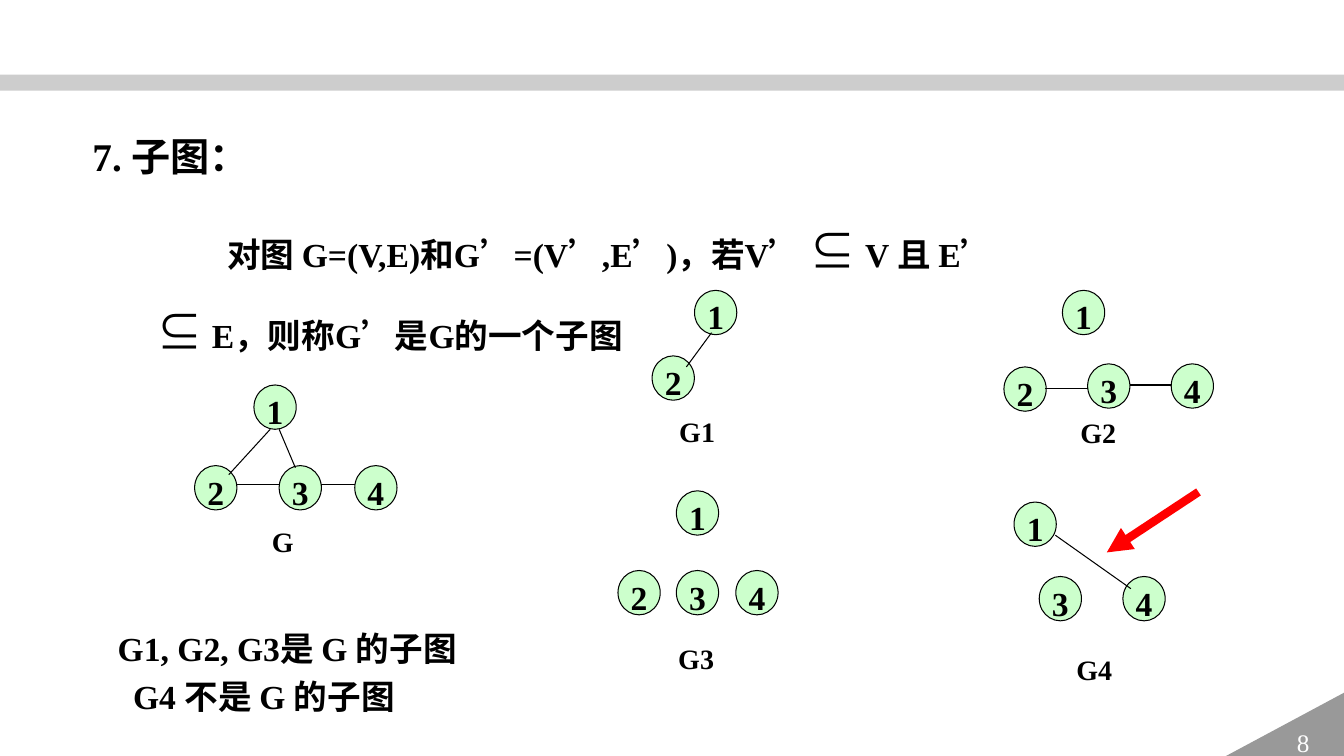
from dataclasses import dataclass

from lxml import etree
from pptx import Presentation
from pptx.dml.color import RGBColor
from pptx.enum.lang import MSO_LANGUAGE_ID
from pptx.enum.shapes import MSO_CONNECTOR, MSO_SHAPE
from pptx.enum.text import MSO_ANCHOR, PP_ALIGN
from pptx.oxml.ns import qn
from pptx.util import Pt

STRAIGHT = MSO_CONNECTOR.STRAIGHT
RECTANGLE = MSO_SHAPE.RECTANGLE
OVAL = MSO_SHAPE.OVAL
TRIANGLE = MSO_SHAPE.RIGHT_TRIANGLE
MIDDLE = MSO_ANCHOR.MIDDLE
CENTER = PP_ALIGN.CENTER
CHINESE = MSO_LANGUAGE_ID.SIMPLIFIED_CHINESE

Point = tuple[float, float]


@dataclass(frozen=True)
class Theme:
    font: str = "Times New Roman"
    prime_font: str = "Cabin"
    black: str = "000000"
    white: str = "FFFFFF"
    node: str = "CCFFCC"
    arrow: str = "FF0000"
    bar: str = "A6A6A6"
    corner: str = "999999"
    heading: int = 28
    body: int = 24
    symbol: int = 32
    label: int = 20
    number: int = 18


THEME = Theme()
NODE_WIDTH, NODE_HEIGHT = 30.2, 31.7


@dataclass(frozen=True)
class Run:
    text: str
    size: int = THEME.body
    bold: bool = True
    font: str = THEME.font
    color: str = THEME.black


@dataclass(frozen=True)
class Graph:
    name: str
    label_at: Point
    label_width: float
    nodes: dict[str, Point]
    edges: tuple[tuple[Point, Point], ...] = ()


PRIME = Run("’", font=THEME.prime_font)
SUBSET = Run("⊆ ", THEME.symbol, False)
DEFINITION = (
    (Run("对图 G=(V,E)和G"), PRIME, Run("=(V"), PRIME, Run(",E"), PRIME,
     Run(")，若V’ "), SUBSET, Run("V 且 E’")),
    (SUBSET, Run("E，则称G"), PRIME, Run("是G的一个子图")),
)
CONCLUSION = ((Run("G1, G2, G3是 G 的子图"),), (Run("G4 不是 G 的子图"),))

GRAPHS = (
    Graph("G1", (478.1, 284.4), 54,
          {"1": (496.1, 207.4), "2": (465.8, 254.2)},
          (((508.3, 237.6), (490.3, 262.1)),)),
    Graph("G2", (764.6, 285.1), 40.3,
          {"1": (758.9, 207.4), "2": (717.1, 262.1),
           "3": (776.9, 259.9), "4": (836.6, 259.9)},
          (((746.6, 277.2), (776.9, 277.2)), ((807.1, 275), (836.6, 275)))),
    Graph("G", (187.2, 362.9), 30.2,
          {"1": (181.4, 275), "2": (139, 332.6),
           "3": (199.4, 332.6), "4": (253.4, 332.6)},
          (((193, 306.7), (163.4, 339.1)), ((199.4, 306.7), (211, 334.1)),
           ((169.2, 346.3), (199.4, 346.3)), ((229, 346.3), (253.4, 346.3)))),
    Graph("G3", (477.4, 446.4), 40.3,
          {"1": (483.1, 350.6), "2": (441.4, 407.5),
           "3": (483.1, 407.5), "4": (525.6, 407.5)}),
    Graph("G4", (761.8, 454.3), 40.3,
          {"1": (724.3, 358.6), "3": (742.3, 411.8), "4": (802.1, 411.8)},
          (((753.8, 382.3), (807.8, 420.5)),)),
)


def apply_format(target, values: dict) -> None:
    """Set every named attribute on the target."""
    for name, value in values.items():
        setattr(target, name, value)


def write_lines(frame, lines, spacing: float = 1.2, **paragraph_format) -> None:
    """Write lines of runs into one paragraph."""
    paragraph = frame.paragraphs[0]
    apply_format(paragraph, {"line_spacing": spacing, **paragraph_format})
    for index, line in enumerate(lines):
        if index:
            paragraph.add_line_break()
        for item in line:
            run = paragraph.add_run()
            run.text = item.text
            apply_format(run.font, {"name": item.font, "size": Pt(item.size),
                                    "bold": item.bold, "language_id": CHINESE})
            run.font.color.rgb = RGBColor.from_string(item.color)


def add_text(slide, box, lines, spacing: float = 1.2,
             margin: float = 0, indent: float = 0) -> None:
    """Add a wrapping text box with an optional indent."""
    shape = slide.shapes.add_textbox(*map(Pt, box))
    apply_format(shape.text_frame, {"word_wrap": True, "margin_top": Pt(7)})
    write_lines(shape.text_frame, lines, spacing)
    properties = shape.text_frame.paragraphs[0]._p.get_or_add_pPr()
    properties.set("marL", str(Pt(margin)))
    properties.set("indent", str(Pt(indent)))


def add_filled(slide, kind, box, color: str):
    """Add a flat shape without an outline."""
    shape = slide.shapes.add_shape(kind, *map(Pt, box))
    shape.shadow.inherit = False
    shape.fill.solid()
    shape.fill.fore_color.rgb = RGBColor.from_string(color)
    shape.line.fill.background()
    return shape


def add_node(slide, name: str, corner: Point) -> None:
    """Add a numbered graph node."""
    shape = add_filled(slide, OVAL, (*corner, NODE_WIDTH, NODE_HEIGHT), THEME.node)
    shape.line.color.rgb = RGBColor.from_string(THEME.black)
    shape.line.width = Pt(0.75)
    apply_format(shape.text_frame, {
        "word_wrap": False, "vertical_anchor": MIDDLE, "margin_left": 0,
        "margin_right": 0, "margin_top": 0, "margin_bottom": 0})
    write_lines(shape.text_frame, ((Run(name),),), alignment=CENTER)


def add_line(slide, start: Point, end: Point, color: str, width: float):
    """Add a straight line without a shadow."""
    connector = slide.shapes.add_connector(STRAIGHT, *map(Pt, (*start, *end)))
    connector.line.color.rgb = RGBColor.from_string(color)
    connector.line.width = Pt(width)
    etree.SubElement(connector._element.spPr, qn("a:effectLst"))
    return connector


def add_graph(slide, graph: Graph) -> None:
    """Draw the nodes, edges and name of a graph."""
    for name, corner in graph.nodes.items():
        add_node(slide, name, corner)
    for start, end in graph.edges:
        add_line(slide, start, end, THEME.black, 0.75)
    add_text(slide, (*graph.label_at, graph.label_width, 34),
             ((Run(graph.name, THEME.label),),))


def add_frame(slide) -> None:
    """Draw the top bar and the numbered corner."""
    bar = add_filled(slide, RECTANGLE, (0, 53.3, 960, 11.5), THEME.bar)
    color = bar._element.spPr.find(f".//{qn('a:srgbClr')}")
    etree.SubElement(color, qn("a:alpha")).set("val", "56000")
    corner = add_filled(slide, TRIANGLE, (871.9, 494.6, 88.6, 47.5), THEME.corner)
    corner._element.spPr.get_or_add_xfrm().set("flipH", "1")
    apply_format(corner.text_frame, {"vertical_anchor": MIDDLE})
    number = Run("8", THEME.number, False, color=THEME.white)
    write_lines(corner.text_frame, ((number,),), 1.0, alignment=CENTER)


def main() -> None:
    """Build and save the subgraph slide."""
    presentation = Presentation()
    apply_format(presentation, {"slide_width": Pt(960), "slide_height": Pt(540)})
    slide = presentation.slides.add_slide(presentation.slide_layouts[6])
    add_frame(slide)
    for graph in GRAPHS:
        add_graph(slide, graph)
    add_text(slide, (77, 435.6, 274.3, 77), CONCLUSION, margin=11, indent=-11)
    add_text(slide, (105.1, 133.2, 732.2, 103.7), DEFINITION, 1.5, indent=50)
    add_text(slide, (59, 80.6, 698.4, 44.6), ((Run("7. 子图：", THEME.heading),),))
    arrow = add_line(slide, (856.1, 351.4), (790.6, 394.6), THEME.arrow, 6)
    etree.SubElement(arrow.line._get_or_add_ln(), qn("a:tailEnd")).set("type", "triangle")
    presentation.save("out.pptx")


if __name__ == "__main__":
    main()
